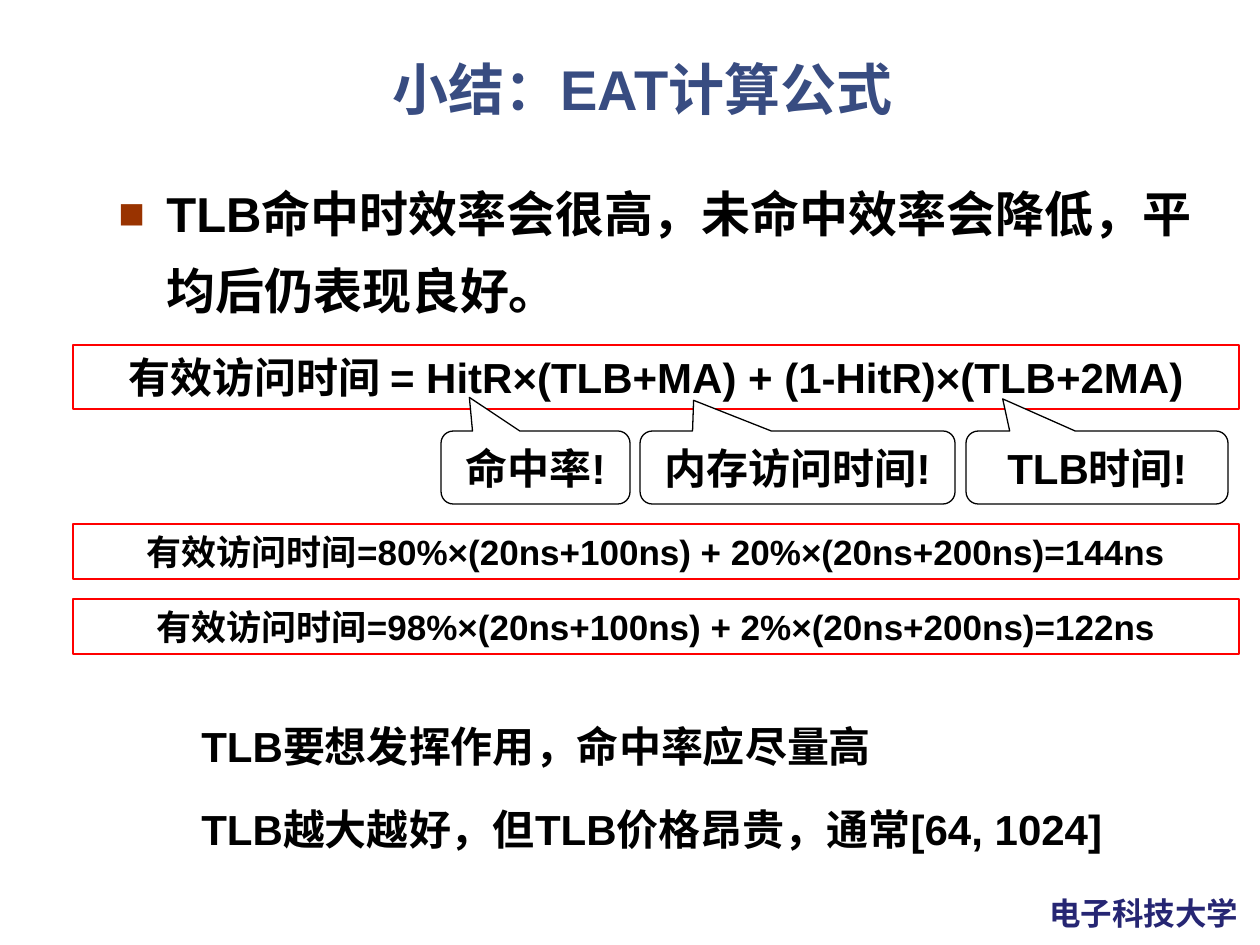
import pptx
import pptx.util
import pptx.dml.color
import pptx.enum.shapes
import pptx.enum.text
import pptx.oxml
import pptx.oxml.ns

RGB = pptx.dml.color.RGBColor
BLACK = RGB(0x00, 0x00, 0x00)
WHITE = RGB(0xFF, 0xFF, 0xFF)
RED = RGB(0xFF, 0x00, 0x00)
TITLE_BLUE = RGB(0x38, 0x4C, 0x81)
FOOTER_BLUE = RGB(0x26, 0x26, 0x73)
SHAPE = pptx.enum.shapes.MSO_SHAPE
CENTER = pptx.enum.text.PP_ALIGN.CENTER
MIDDLE = pptx.enum.text.MSO_ANCHOR.MIDDLE
TOP = pptx.enum.text.MSO_ANCHOR.TOP


def px(*lengths):
    return [pptx.util.Emu(round(length * 914400 / 126)) for length in lengths]


def write(box, text, size, color=BLACK, align=None, spacing=None, anchor=MIDDLE, wrap=True):
    frame = box.text_frame
    frame.word_wrap = wrap
    frame.vertical_anchor = anchor
    para = frame.paragraphs[0]
    para.alignment = align
    para.line_spacing = spacing
    span = para.add_run()
    span.text = text
    for name, value in {"name": "Arial", "size": pptx.util.Pt(size), "bold": True}.items():
        setattr(span.font, name, value)
    span.font.color.rgb = color
    return para.get_or_add_pPr() if hasattr(para, "get_or_add_pPr") else para._p.get_or_add_pPr()


deck = pptx.Presentation()
deck.slide_width, deck.slide_height = px(1260, 945)
page = deck.slides.add_slide(deck.slide_layouts[5])

# Title
title = page.shapes.title
title.left, title.top, title.width, title.height = px(98, 54, 1089, 76)
write(title, "小结：EAT计算公式", 32, TITLE_BLUE, CENTER, 0.9)

# University name in the corner
footer = page.shapes.add_textbox(*px(1037, 888, 218, 50))
write(footer, "电子科技大学", 18, FOOTER_BLUE, anchor=TOP, wrap=False)

# Main point with a square bullet
point = page.shapes.add_textbox(*px(106, 160, 1113, 120))
properties = write(point, "TLB命中时效率会很高，未命中效率会降低，平均后仍表现良好。", 28,
                   spacing=1.3, anchor=TOP)
properties.set("marL", str(px(48)[0]))
properties.set("indent", str(px(-48)[0]))
for bullet in ('buClr {}><a:srgbClr val="993300"/></a:buClr>', 'buSzPct {} val="90000"/>',
               'buFont {} typeface="Arial"/>', 'buChar {} char="■"/>'):
    properties.append(pptx.oxml.parse_xml("<a:" + bullet.format(pptx.oxml.ns.nsdecls("a"))))

# Formula and two worked examples
for top, height, size, text in [
    (345, 64, 24, "有效访问时间 = HitR×(TLB+MA) + (1-HitR)×(TLB+2MA)"),
    (524, 55, 20, "有效访问时间=80%×(20ns+100ns) + 20%×(20ns+200ns)=144ns"),
    (599, 55, 20, "有效访问时间=98%×(20ns+100ns) + 2%×(20ns+200ns)=122ns"),
]:
    formula = page.shapes.add_shape(SHAPE.RECTANGLE, *px(73, top, 1166, height))
    formula.shadow.inherit = False
    formula.fill.background()
    formula.line.color.rgb = RED
    formula.line.width = pptx.util.Pt(0.75)
    write(formula, text, size, align=CENTER)

# Callouts, turned upside down so they point up, with upright text
for left, width, tip_x, tip_y, text in [
    (441, 189, 0.35, 0.96, "命中率!"),
    (640, 315, 0.33, 0.92, "内存访问时间!"),
    (966, 262, 0.36, 0.94, "TLB时间!"),
]:
    callout = page.shapes.add_shape(SHAPE.ROUNDED_RECTANGULAR_CALLOUT, *px(left, 431, width, 73))
    callout.rotation = 180
    callout.adjustments[0] = tip_x
    callout.adjustments[1] = tip_y
    callout.shadow.inherit = False
    callout.fill.solid()
    callout.fill.fore_color.rgb = WHITE
    callout.line.color.rgb = BLACK
    callout.line.width = pptx.util.Pt(0.75)
    write(callout, text, 24, align=CENTER)
    callout.text_frame._txBody.bodyPr.set("rot", str(180 * 60000))

# Closing remarks
for row, text in enumerate(["TLB要想发挥作用，命中率应尽量高",
                            "TLB越大越好，但TLB价格昂贵，通常[64, 1024]"]):
    remark = page.shapes.add_textbox(*px(126, 694 + 83 * row, 1019, 83))
    properties = write(remark, text, 24, spacing=1.4, anchor=TOP)
    properties.set("marL", str(px(63)[0]))
    properties.set("lvl", "1")

deck.save("out.pptx")
